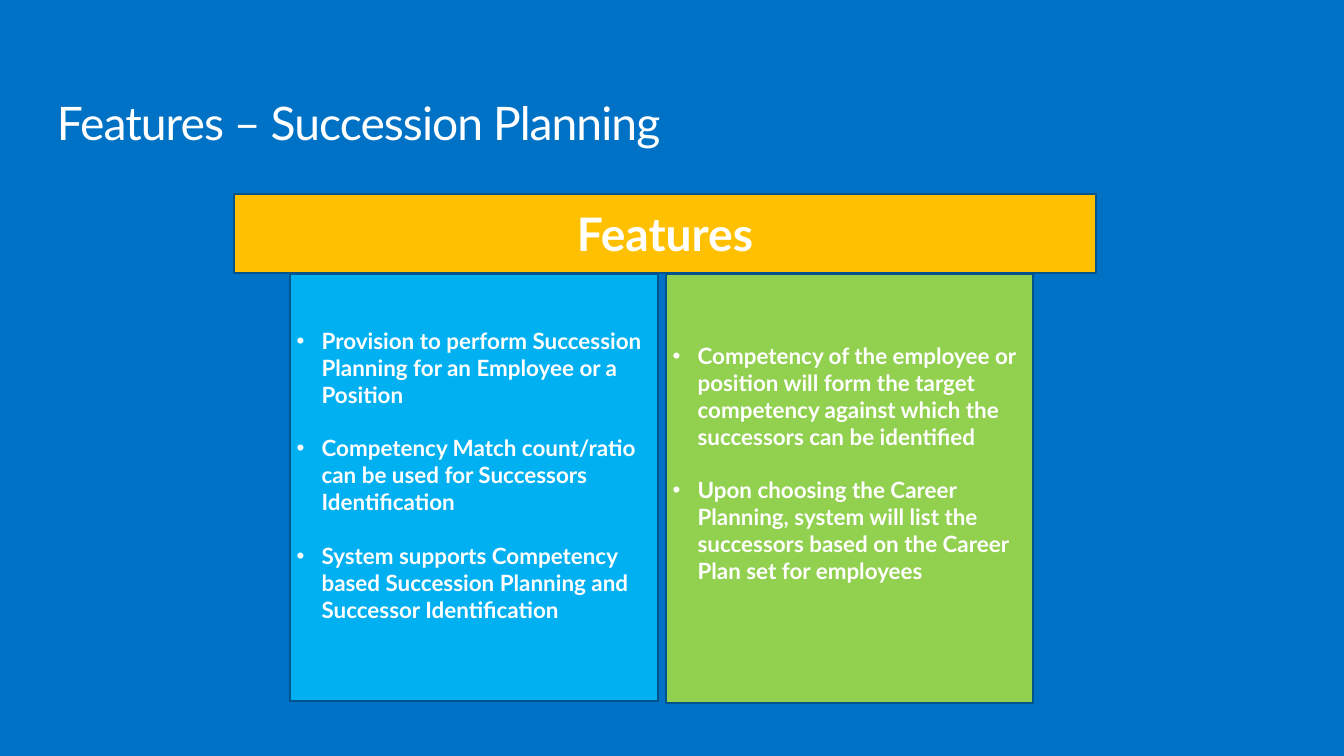
from lxml import etree
from pptx import Presentation
from pptx.dml.color import RGBColor
from pptx.enum.shapes import MSO_SHAPE
from pptx.enum.text import MSO_ANCHOR, PP_ALIGN
from pptx.oxml.ns import qn
from pptx.util import Pt

RECTANGLE = MSO_SHAPE.RECTANGLE
TOP, MIDDLE = MSO_ANCHOR.TOP, MSO_ANCHOR.MIDDLE
LEFT, CENTER = PP_ALIGN.LEFT, PP_ALIGN.CENTER

BLUE = RGBColor(0x00, 0x72, 0xC6)
SKY = RGBColor(0x00, 0xB0, 0xF0)
GREEN = RGBColor(0x92, 0xD0, 0x50)
AMBER = RGBColor(0xFF, 0xC0, 0x00)
OUTLINE = RGBColor(0x00, 0x54, 0x8B)
WHITE = RGBColor(0xFF, 0xFF, 0xFF)

FONT = "Lato"
HEADING_SIZE, BODY_SIZE = 49.5, 24
LINE_GAP = 28.8
BULLET_INDENT = 25

SUCCESSION_POINTS = [
    "Provision to perform Succession Planning for an Employee or a Position",
    "Competency Match count/ratio can be used for Successors Identification",
    "System supports Competency based Succession Planning and Successor Identification",
]
COMPETENCY_POINTS = [
    "Competency of the employee or position will form the target competency "
    "against which the successors can be identified",
    "Upon choosing the Career Planning, system will list the successors based "
    "on the Career Plan set for employees",
]


def px(length):
    return round(length * 914400 / 67.2)


def style_font(font, size, bold):
    font.name = FONT
    font.size = Pt(size)
    font.bold = bold
    font.color.rgb = WHITE


def add_title(slide, box, text):
    text_frame = slide.shapes.add_textbox(*map(px, box)).text_frame
    text_frame.word_wrap = True
    text_frame.margin_left = text_frame.margin_right = 0
    text_frame.margin_top = text_frame.margin_bottom = 0
    paragraph = text_frame.paragraphs[0]
    paragraph.text = text
    paragraph.line_spacing = 0.9
    run = paragraph.runs[0]
    style_font(run.font, HEADING_SIZE, False)
    run.font._element.set("spc", "-100")


def add_panel(slide, box, color):
    shape = slide.shapes.add_shape(RECTANGLE, *map(px, box))
    shape.shadow.inherit = False
    shape.fill.solid()
    shape.fill.fore_color.rgb = color
    shape.line.color.rgb = OUTLINE
    shape.line.width = Pt(2)
    shape.text_frame.word_wrap = True
    return shape


def add_header(slide, box, text):
    text_frame = add_panel(slide, box, AMBER).text_frame
    text_frame.vertical_anchor = MIDDLE
    text_frame.text = text
    paragraph = text_frame.paragraphs[0]
    paragraph.alignment = CENTER
    style_font(paragraph.runs[0].font, HEADING_SIZE, True)


def add_bullet(paragraph):
    properties = paragraph._p.get_or_add_pPr()
    properties.set("marL", str(px(BULLET_INDENT)))
    properties.set("indent", str(-px(BULLET_INDENT)))
    etree.SubElement(properties, qn("a:buFont")).set("typeface", "Arial")
    etree.SubElement(properties, qn("a:buChar")).set("char", "•")


def add_feature_column(slide, box, color, points, text_offset):
    """Fill a panel with bullets that start text_offset px below its top."""
    text_frame = add_panel(slide, box, color).text_frame
    text_frame.vertical_anchor = TOP
    text_frame.margin_top = px(text_offset)
    text_frame.text = "\n".join(points)
    for index, paragraph in enumerate(text_frame.paragraphs):
        add_bullet(paragraph)
        paragraph.alignment = LEFT
        if index:
            paragraph.space_before = Pt(LINE_GAP)
        style_font(paragraph.runs[0].font, BODY_SIZE, True)


def main():
    presentation = Presentation()
    presentation.slide_width = px(1344)
    presentation.slide_height = px(756)
    slide = presentation.slides.add_slide(presentation.slide_layouts[6])
    slide.background.fill.solid()
    slide.background.fill.fore_color.rgb = BLUE

    add_title(slide, (57, 101, 1229, 50), "Features – Succession Planning")
    add_feature_column(slide, (290, 274, 368, 427), SKY, SUCCESSION_POINTS, 53)
    add_feature_column(slide, (666, 274, 367, 429), GREEN, COMPETENCY_POINTS, 68)
    add_header(slide, (234, 194, 862, 79), "Features")
    presentation.save("out.pptx")


if __name__ == "__main__":
    main()
